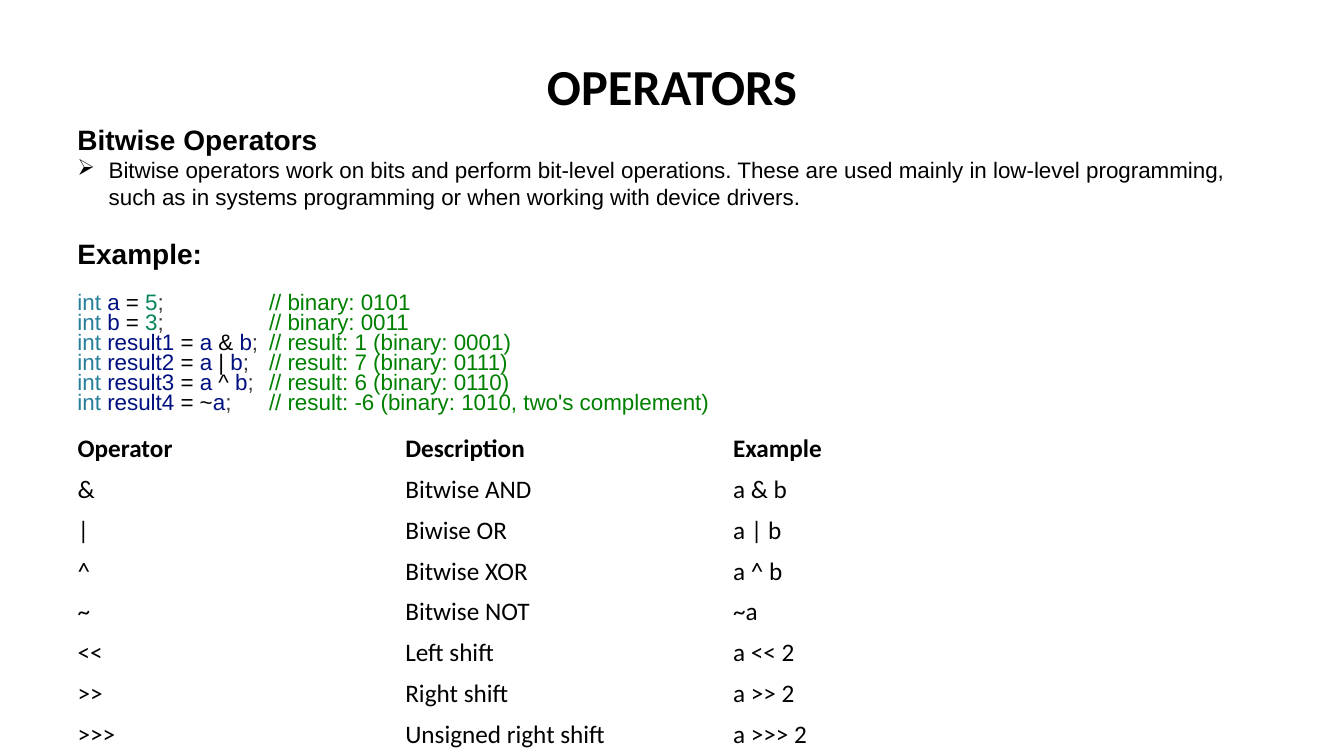
from dataclasses import dataclass

from lxml import etree
from pptx import Presentation
from pptx.dml.color import RGBColor
from pptx.enum.text import MSO_ANCHOR, MSO_AUTO_SIZE, PP_ALIGN
from pptx.oxml.ns import qn
from pptx.util import Emu, Pt

PX = 9144  # EMU per px, 100 px to the inch
CENTER = PP_ALIGN.CENTER
TOP, MIDDLE = MSO_ANCHOR.TOP, MSO_ANCHOR.MIDDLE
NO_FIT = MSO_AUTO_SIZE.NONE

COLORS = {
    "text": "000000",
    "type": "267F99",
    "variable": "001080",
    "number": "098658",
    "operator": "000000",
    "punctuation": "3B3B3B",
    "comment": "008000",
}

INDENT = 31
COMMENT_TAB = 190
BLANK_LINE = Pt(18.4)
CODE_SPACING = Pt(14.2)


@dataclass(frozen=True)
class Statement:
    variable: str
    value: tuple[str, ...]
    comment: str


STATEMENTS = [
    Statement("a", ("5",), "// binary: 0101"),
    Statement("b", ("3",), "// binary: 0011"),
    Statement("result1", ("a ", "& ", "b"), "// result: 1 (binary: 0001)"),
    Statement("result2", ("a ", "| ", "b"), "// result: 7 (binary: 0111)"),
    Statement("result3", ("a ", "^ ", "b"), "// result: 6 (binary: 0110)"),
    Statement("result4", ("~", "a"), "// result: -6 (binary: 1010, two's complement)"),
]

OPERATOR_ROWS = [
    ("Operator", "Description", "Example"),
    ("&", "Bitwise AND", "a & b"),
    ("|", "Biwise OR", "a | b"),
    ("^", "Bitwise XOR", "a ^ b"),
    ("~", "Bitwise NOT", "~a"),
    ("<<", "Left shift", "a << 2"),
    (">>", "Right shift", "a >> 2"),
    (">>>", "Unsigned right shift", "a >>> 2"),
]


def px(*lengths: int) -> list[Emu]:
    return [Emu(length * PX) for length in lengths]


def add_run(paragraph, text: str, size: int, font: str = "Arial",
            color: str = "text", bold: bool = False) -> None:
    run = paragraph.add_run()
    run.text = text
    for name, value in {"name": font, "size": Pt(size), "bold": bold}.items():
        setattr(run.font, name, value)
    run.font.color.rgb = RGBColor.from_string(COLORS[color])


def add_bullet(paragraph) -> None:
    properties = paragraph._p.get_or_add_pPr()
    properties.set("marL", str(INDENT * PX))
    properties.set("indent", str(-INDENT * PX))
    etree.SubElement(properties, qn("a:buChar"), char="➢")


def add_comment_tab(paragraph) -> None:
    tabs = etree.SubElement(paragraph._p.get_or_add_pPr(), qn("a:tabLst"))
    etree.SubElement(tabs, qn("a:tab"), pos=str(COMMENT_TAB * PX), algn="l")


def token_kind(token: str) -> str:
    word = token.strip()
    if word.isdigit():
        return "number"
    return "variable" if word.isalpha() else "operator"


def add_statement(paragraph, statement: Statement) -> None:
    add_comment_tab(paragraph)
    paragraph.line_spacing = CODE_SPACING
    parts = [("int ", "type"), (statement.variable + " ", "variable"), ("= ", "operator")]
    parts += [(token, token_kind(token)) for token in statement.value]
    parts += [(";\t", "punctuation"), (statement.comment, "comment")]
    for text, kind in parts:
        add_run(paragraph, text, 16, color=kind)


def add_operator_table(slide) -> None:
    table = slide.shapes.add_table(
        len(OPERATOR_ROWS), len(OPERATOR_ROWS[0]), *px(67, 425, 975, 320)).table
    table.first_row = table.horz_banding = False
    for row_index, row in enumerate(OPERATOR_ROWS):
        for column_index, text in enumerate(row):
            cell = table.cell(row_index, column_index)
            cell.fill.background()
            cell.vertical_anchor = MIDDLE
            add_run(cell.text_frame.paragraphs[0], text, 18, "Calibri",
                    bold=row_index == 0)


def add_explanation(slide) -> None:
    frame = slide.shapes.add_textbox(*px(67, 117, 1200, 369)).text_frame
    frame.word_wrap = True
    frame.auto_size = NO_FIT

    add_run(frame.paragraphs[0], "Bitwise Operators", 20, bold=True)

    summary = frame.add_paragraph()
    add_bullet(summary)
    add_run(summary, "Bitwise operators work on bits and perform bit-level operations. "
            "These are used mainly in low-level programming, such as in systems "
            "programming or when working with device drivers.", 16)

    example_heading = frame.add_paragraph()
    example_heading.space_before = BLANK_LINE
    add_run(example_heading, "Example:", 20, bold=True)

    for index, statement in enumerate(STATEMENTS):
        code_line = frame.add_paragraph()
        add_statement(code_line, statement)
        if index == 0:
            code_line.space_before = BLANK_LINE


def add_title(slide) -> None:
    title = slide.shapes.title
    title.left, title.top, title.width, title.height = px(531, 50, 271, 71)
    frame = title.text_frame
    settings = {"word_wrap": False, "auto_size": NO_FIT, "vertical_anchor": TOP}
    for name, value in settings.items():
        setattr(frame, name, value)
    heading = frame.paragraphs[0]
    heading.alignment = CENTER
    add_run(heading, "OPERATORS", 36, "Calibri", bold=True)


def main() -> None:
    presentation = Presentation()
    presentation.slide_width, presentation.slide_height = px(1333, 750)
    slide = presentation.slides.add_slide(presentation.slide_layouts[5])
    add_title(slide)
    add_operator_table(slide)
    add_explanation(slide)
    presentation.save("out.pptx")


if __name__ == "__main__":
    main()
